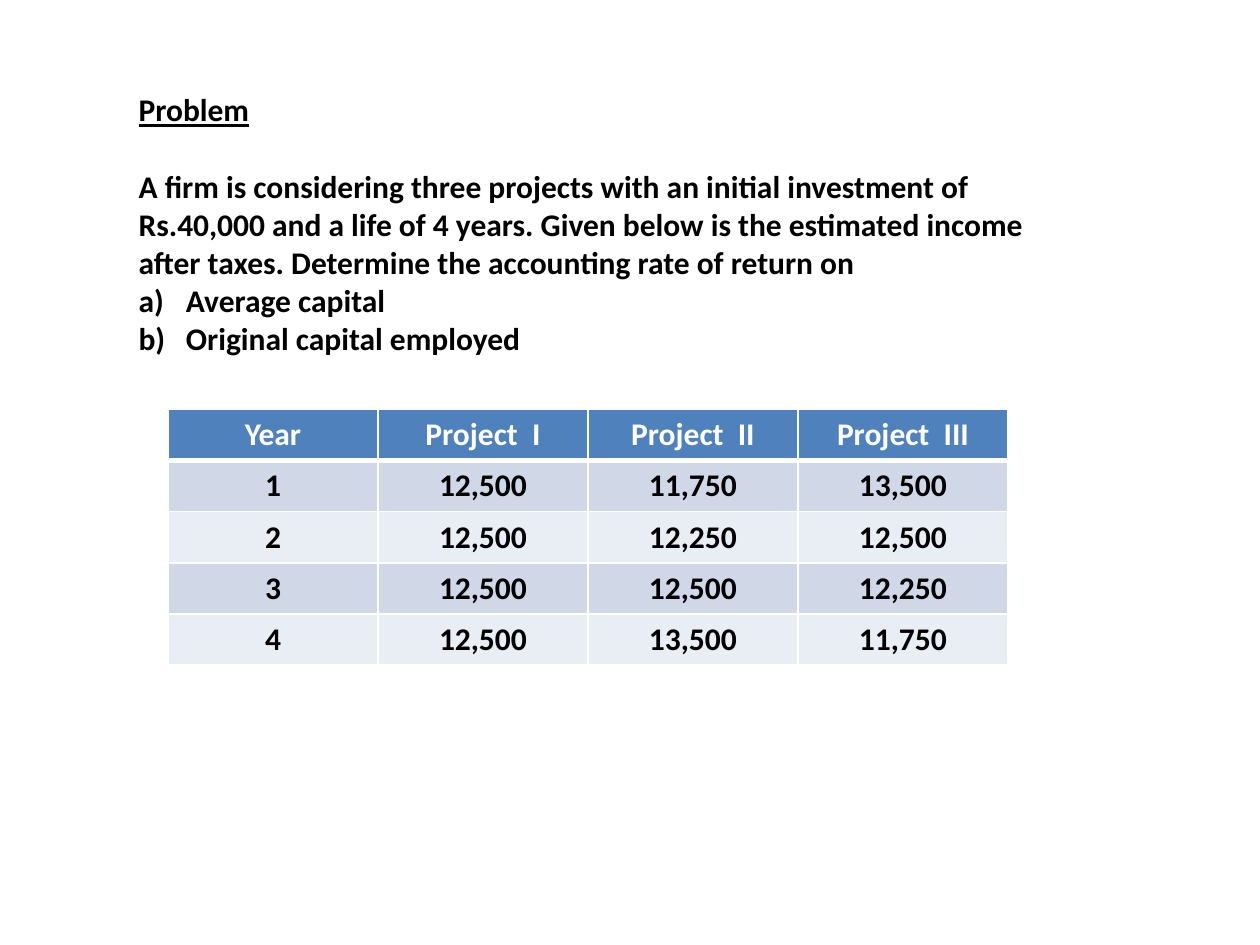
import pptx
import pptx.util
import pptx.dml.color
import pptx.enum.text
import pptx.oxml
import pptx.oxml.ns

Pt = pptx.util.Pt
COLORS = {"text": "000000", "white": "FFFFFF", "header": "4F81BD",
          "odd": "D0D8E8", "even": "E9EDF4"}
STATEMENT = ["A firm is considering three projects with an initial investment of",
             "Rs.40,000 and a life of 4 years. Given below is the estimated income",
             "after taxes. Determine the accounting rate of return on"]
QUESTIONS = ["Average capital", "Original capital employed"]
INCOMES = [["Year", "Project  I", "Project  II", "Project  III"],
           ["1", "12,500", "11,750", "13,500"],
           ["2", "12,500", "12,250", "12,500"],
           ["3", "12,500", "12,500", "12,250"],
           ["4", "12,500", "13,500", "11,750"]]


def rgb(name):
    return pptx.dml.color.RGBColor.from_string(COLORS[name])


class SlideBuilder:
    """Holds the text style and the current slide, and adds elements to it."""

    font = "Calibri"
    size = 18

    def __init__(self, prs):
        self.s = prs.slides.add_slide(prs.slide_layouts[1])

    def format(self, p, align, color="text", underline=False):
        p.alignment = align
        p.space_before = Pt(0)
        for r in p.runs:
            r.font.name = self.font
            r.font.size = Pt(self.size)
            r.font.bold = True
            r.font.underline = underline
            r.font.color.rgb = rgb(color)

    def place(self, sp, left, top, width, height):
        sp.left, sp.top, sp.width, sp.height = map(Pt, (left, top, width, height))
        tf = sp.text_frame
        tf.word_wrap = True
        tf.auto_size = pptx.enum.text.MSO_AUTO_SIZE.NONE
        tf.vertical_anchor = pptx.enum.text.MSO_ANCHOR.TOP
        return tf

    def title(self, text, *box):
        tf = self.place(self.s.shapes.title, *box)
        tf.text = text
        self.format(tf.paragraphs[0], pptx.enum.text.PP_ALIGN.LEFT, underline=True)

    def body(self, lines, items, *box):
        tf = self.place(self.s.placeholders[1], *box)
        tf.text = "\n".join(lines + items)
        for i, p in enumerate(tf.paragraphs):
            self.format(p, pptx.enum.text.PP_ALIGN.LEFT)
            self.number(p, i >= len(lines))

    def number(self, p, lettered):
        pPr = p._p.get_or_add_pPr()
        indent = Pt(27) if lettered else 0
        pPr.set("marL", str(indent))
        pPr.set("indent", str(-indent))
        if lettered:
            font = pptx.oxml.ns.qn("a:buFont")
            pPr.makeelement(font)
            pPr.append(pPr.makeelement(font, {"typeface": "+mj-lt"}))
            pPr.append(pPr.makeelement(pptx.oxml.ns.qn("a:buAutoNum"),
                                       {"type": "alphaLcParenR"}))
        else:
            pPr.append(pPr.makeelement(pptx.oxml.ns.qn("a:buNone")))

    def border(self, cell, side, width):
        cell._tc.get_or_add_tcPr().append(pptx.oxml.parse_xml(
            f'<a:ln{side} {pptx.oxml.ns.nsdecls("a")} w="{Pt(width)}"><a:solidFill>'
            f'<a:srgbClr val="{COLORS["white"]}"/></a:solidFill></a:ln{side}>'))

    def table(self, rows, left, top, col_width, row_height):
        n, m = len(rows), len(rows[0])
        table = self.s.shapes.add_table(n, m, Pt(left), Pt(top), Pt(m * col_width),
                                        Pt(n * row_height)).table
        for i, row in enumerate(rows):
            fill = "header" if i == 0 else "odd" if i % 2 else "even"
            widths = {"L": 1, "R": 1, "T": 3 if i == 1 else 1, "B": 3 if i == 0 else 1}
            for j, text in enumerate(row):
                cell = table.cell(i, j)
                for side, width in widths.items():
                    self.border(cell, side, width)
                cell.fill.solid()
                cell.fill.fore_color.rgb = rgb(fill)
                cell.text = text
                self.format(cell.text_frame.paragraphs[0],
                            pptx.enum.text.PP_ALIGN.CENTER,
                            "text" if i else "white")


def main():
    prs = pptx.Presentation()
    prs.slide_width, prs.slide_height = Pt(720), Pt(540)
    slide = SlideBuilder(prs)
    slide.title("Problem", 72, 48, 524, 30)
    slide.body(STATEMENT, QUESTIONS, 72, 92, 524, 118)
    slide.table(INCOMES, 96, 234, 120, 29.2)
    prs.save("out.pptx")


if __name__ == "__main__":
    main()
